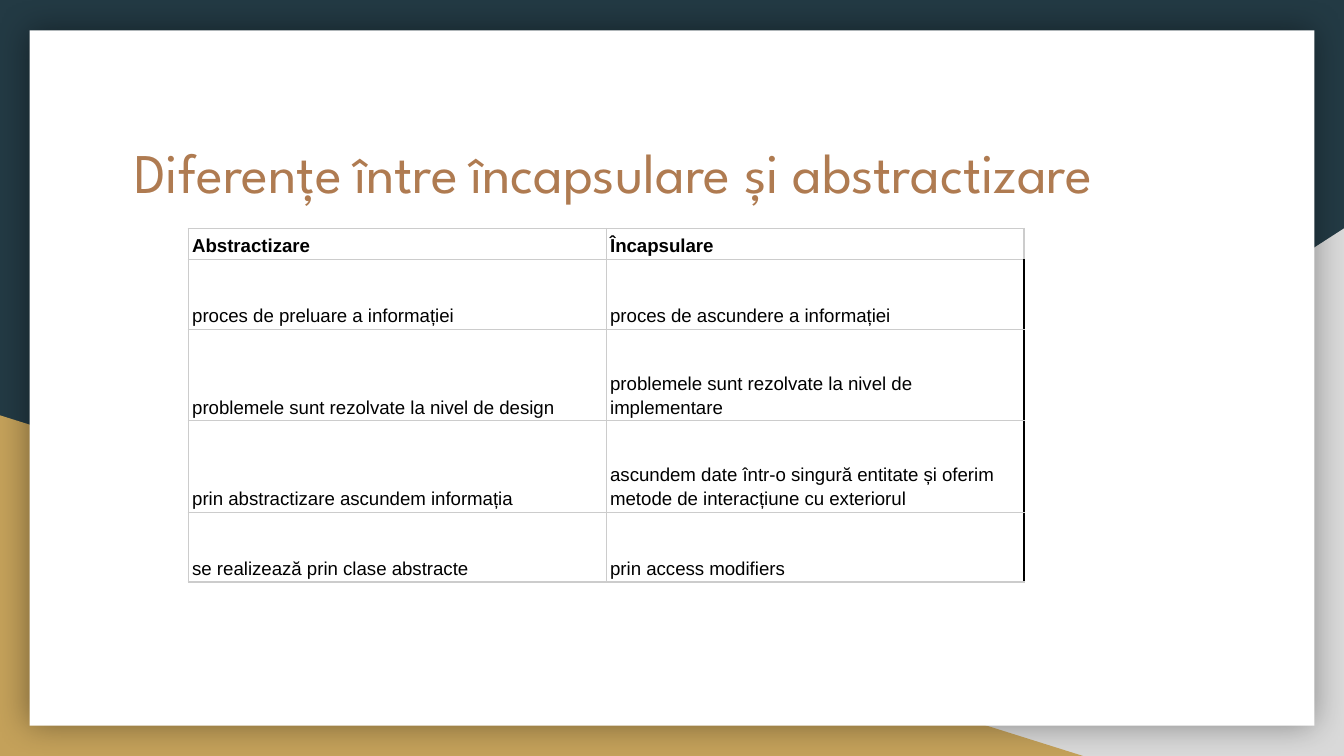
import pptx
import pptx.util
import pptx.dml.color
import pptx.enum.shapes
import pptx.enum.text
import pptx.oxml
import pptx.oxml.ns
from lxml import etree

KIND = pptx.enum.shapes.MSO_SHAPE
ANCHOR = pptx.enum.text.MSO_ANCHOR
COLS, ROWS = 100, 56.25
GRAY, BLACK = "CCCCCC", "000000"
TABLE = [
    ["Abstractizare", "Încapsulare"],
    ["proces de preluare a informației", "proces de ascundere a informației"],
    ["problemele sunt rezolvate la nivel de design",
     "problemele sunt rezolvate la nivel de implementare"],
    ["prin abstractizare ascundem informația",
     "ascundem date într-o singură entitate și oferim metode de interacțiune cu exteriorul"],
    ["se realizează prin clase abstracte", "prin access modifiers"],
]


def color(code):
    return pptx.dml.color.RGBColor.from_string(code)


def node(xml):
    return pptx.oxml.parse_xml(xml.replace(">", f" {pptx.oxml.ns.nsdecls('a')}>", 1))


class Deck:
    head, body = "League Spartan", "Arial"

    def __init__(self):
        self.show = pptx.Presentation()
        self.show.slide_width = pptx.util.Inches(10)
        self.show.slide_height = pptx.util.Inches(5.625)
        self.slide = self.show.slides.add_slide(self.show.slide_layouts[6])

    def wide(self, count):
        return round(self.show.slide_width * count / COLS)

    def high(self, count):
        return round(self.show.slide_height * count / ROWS)

    def area(self, left, top, width, height):
        return self.wide(left), self.high(top), self.wide(width), self.high(height)

    def back(self, fill):
        paint = self.slide.background.fill
        paint.solid()
        paint.fore_color.rgb = color(fill)

    def shape(self, kind, box, fill, flip=False):
        item = self.slide.shapes.add_shape(kind, *self.area(*box))
        item.shadow.inherit = False
        item.fill.solid()
        item.fill.fore_color.rgb = color(fill)
        item.line.fill.background()
        if flip:
            item._element.spPr.xfrm.set("flipH", "1")
        return item

    def card(self, box, fill):
        item = self.shape(KIND.RECTANGLE, box, fill)
        glow = item._element.spPr.find(pptx.oxml.ns.qn("a:effectLst"))
        glow.append(node(
            f'<a:outerShdw blurRad="{pptx.util.Pt(18)}" dist="0" dir="0" algn="ctr" rotWithShape="0">'
            f'<a:srgbClr val="{BLACK}"><a:alpha val="40000"/></a:srgbClr></a:outerShdw>'))

    def style(self, para, face, size, tint, bold=False):
        for run in para.runs:
            run.font.name = face
            run.font.size = pptx.util.Pt(size)
            run.font.color.rgb = color(tint)
            run.font.bold = bold

    def title(self, text, box, tint):
        frame = self.slide.shapes.add_textbox(*self.area(*box)).text_frame
        frame.word_wrap = True
        frame.vertical_anchor = ANCHOR.TOP
        frame.margin_left = frame.margin_right = self.wide(1)
        frame.margin_top = frame.margin_bottom = self.high(1)
        frame.text = text
        self.style(frame.paragraphs[0], self.head, 30, tint)

    def edge(self, cell, side, tint):
        cell._tc.get_or_add_tcPr().append(node(
            f'<a:ln{side} w="{pptx.util.Pt(0.75)}"><a:solidFill>'
            f'<a:srgbClr val="{tint}"/></a:solidFill></a:ln{side}>'))

    def cell(self, cell, text, first, last):
        cell.margin_left = cell.margin_right = self.wide(0.3)
        cell.margin_top = cell.margin_bottom = self.high(0.2)
        cell.vertical_anchor = ANCHOR.BOTTOM
        cell.text = text
        para = cell.text_frame.paragraphs[0]
        para.line_spacing = 1.15
        self.style(para, self.body, 10, BLACK, first)
        for side in "LRTB":
            dark = side == "R" and last and not first
            self.edge(cell, side, BLACK if dark else GRAY)
        cell.fill.background()

    def table(self, data, left, top, width, tall):
        box = self.area(left, top, width * len(data[0]), sum(tall))
        grid = self.slide.shapes.add_table(len(data), len(data[0]), *box).table
        grid.first_row = grid.horz_banding = False
        for col in grid.columns:
            col.width = self.wide(width)
        for row, texts in enumerate(data):
            grid.rows[row].height = self.high(tall[row])
            for col, text in enumerate(texts):
                self.cell(grid.cell(row, col), text, row == 0, col == len(texts) - 1)


def main():
    deck = Deck()
    deck.back("233A44")
    deck.shape(KIND.RIGHT_TRIANGLE, (39.2, 17, 60.8, 39.25), "D9D9D9", flip=True)
    deck.shape(KIND.RIGHT_TRIANGLE, (0, 30.9, 80.6, 25.35), "C4A15A")
    deck.card((2.2, 2.25, 95.6, 51.75), "FFFFFF")
    deck.title("Diferențe între încapsulare și abstractizare", (9, 9.2, 82.1, 10.4), "AF7B51")
    deck.table(TABLE, 14, 17, 31.1, [2.2, 5.2, 6.8, 6.8, 5.2])
    deck.show.save("out.pptx")


if __name__ == "__main__":
    main()
